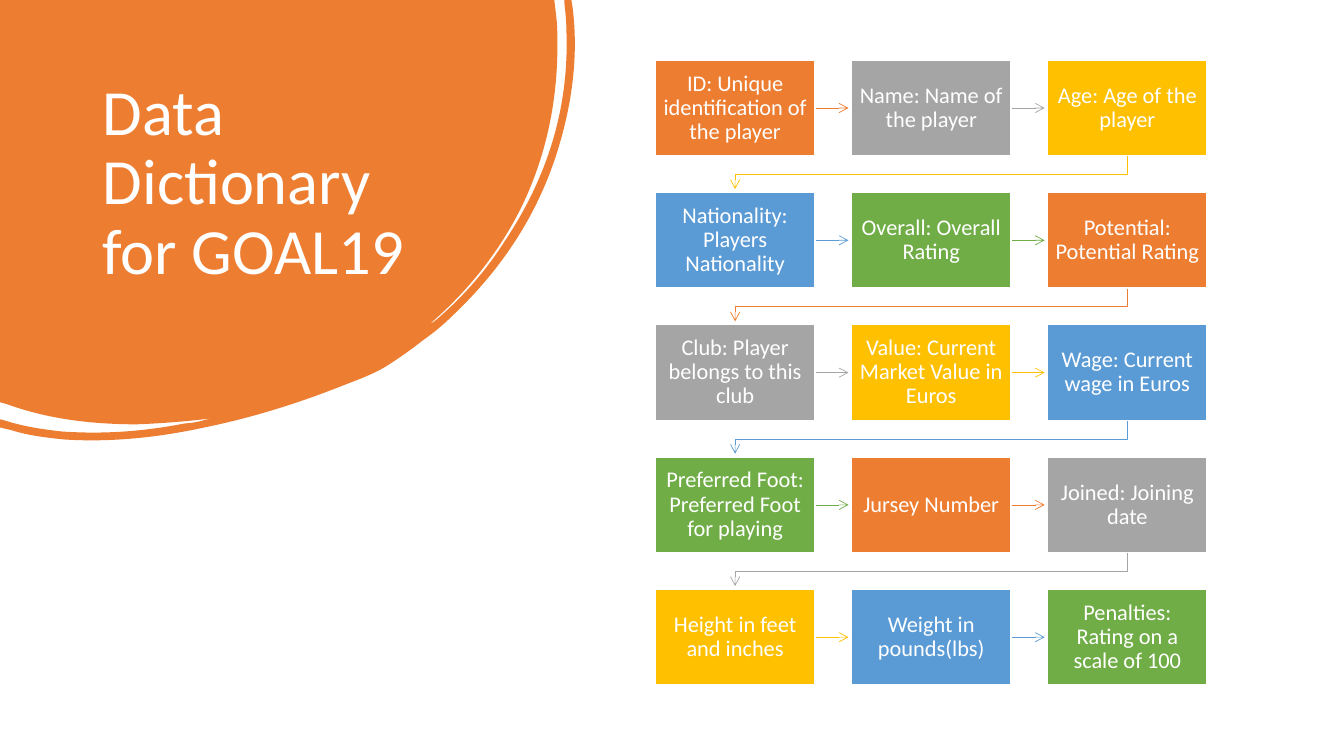
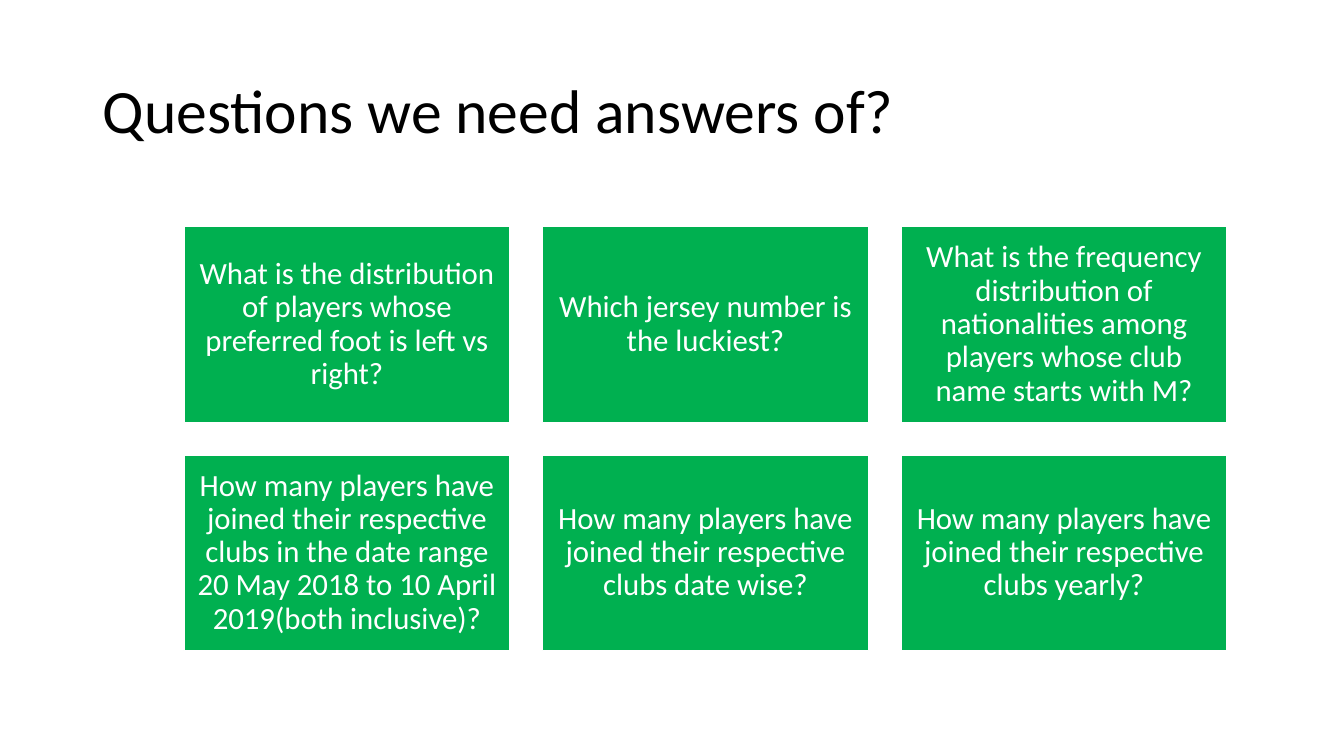
from lxml.etree import SubElement
from pptx import Presentation
from pptx.dml.color import RGBColor
from pptx.enum.shapes import MSO_CONNECTOR as LINK, MSO_SHAPE as SHAPE
from pptx.enum.text import MSO_ANCHOR as ANCHOR, MSO_AUTO_SIZE as FIT, PP_ALIGN as ALIGN
from pptx.oxml.ns import qn
from pptx.util import Pt

COLOURS = {
    "orange": "ED7D31",
    "grey": "A5A5A5",
    "yellow": "FFC000",
    "blue": "5B9BD5",
    "leaf": "70AD47",
    "green": "00B050",
    "white": "FFFFFF",
    "black": "000000",
}
CYCLE = ["orange", "grey", "yellow", "blue", "leaf"]
COLUMNS = 3


def set_text(shape, text, size, colour, align, anchor, inset_x, inset_y):
    frame = shape.text_frame
    frame.text = text
    paragraph = frame.paragraphs[0]
    formats = [
        (frame, {
            "word_wrap": True, "auto_size": FIT.NONE, "vertical_anchor": anchor,
            "margin_left": Pt(inset_x), "margin_right": Pt(inset_x),
            "margin_top": Pt(inset_y), "margin_bottom": Pt(inset_y),
        }),
        (paragraph, {"alignment": align, "line_spacing": 0.9, "space_before": Pt(0)}),
        (paragraph.font, {"name": "Calibri", "size": Pt(size), "bold": False}),
    ]
    for target, values in formats:
        for name, value in values.items():
            setattr(target, name, value)
    paragraph.font.color.rgb = RGBColor.from_string(COLOURS[colour])


def add_card(slide, text, colour, left, top, width, height, size, inset):
    card = slide.shapes.add_shape(SHAPE.RECTANGLE, Pt(left), Pt(top), Pt(width), Pt(height))
    card.shadow.inherit = False
    card.fill.solid()
    card.fill.fore_color.rgb = RGBColor.from_string(COLOURS[colour])
    card.line.color.rgb = RGBColor.from_string(COLOURS["white"])
    card.line.width = Pt(1)
    set_text(card, text, size, "white", ALIGN.CENTER, ANCHOR.MIDDLE, inset, inset)


deck = Presentation()
deck.slide_width, deck.slide_height = Pt(960), Pt(540)

titles = [
    ("Data Dictionary for GOAL19", (66.2, 53.3, 253.4, 159.8), 46, "white", ANCHOR.TOP),
    ("Questions we need answers of?", (66.2, 28.8, 828, 104.4), 44, "black", ANCHOR.MIDDLE),
]
for text, place, size, colour, anchor in titles:
    title = deck.slides.add_slide(deck.slide_layouts[5]).shapes.title
    title.left, title.top, title.width, title.height = [Pt(length) for length in place]
    set_text(title, text, size, colour, ALIGN.LEFT, anchor, 7.2, 3.6)
dictionary, questions = deck.slides

blob_edges = [
    [(396, 0)], [(397.4, 12.2)],
    [(398.2, 18.7), (398.2, 25.9), (398.2, 32.4)],
    [(398.2, 72.7), (390.2, 110.9), (373, 146.9)],
    [(357.1, 179.3), (334.8, 207.4), (307.4, 231.1)],
    [(308.9, 231.1), (309.6, 229.7), (311, 229)],
    [(330.5, 212.4), (347, 193.7), (360.7, 172.1)],
    [(391, 126.7), (406.8, 77), (404.6, 21.6)],
    [(404.6, 15.1), (403.9, 8.6), (403.2, 2.2)],
    [(403.2, 0)], [(408.2, 0)], [(409, 5)],
    [(413.3, 38.9), (409, 73.4), (398.2, 108)],
    [(383.8, 154.1), (357.8, 193), (322.6, 226.1)],
    [(316.1, 232.6), (308.9, 238.3), (301.7, 243.4)],
    [(294.5, 249.1), (287.3, 254.2), (278.6, 259.9)],
    [(270, 265.7), (259.2, 270), (247.7, 274.3)],
    [(215.3, 287.3), (181.4, 298.1), (146.2, 305.3)],
    [(113, 312.5), (79.2, 316.1), (45.4, 313.9)],
    [(32.4, 312.5), (20.2, 311), (8.6, 307.4)],
    [(0, 305.3)], [(0, 299.5)], [(2.9, 300.2)],
    [(16.6, 304.6), (30.2, 306.7), (43.9, 308.2)],
    [(74.2, 310.3), (103, 308.2), (132.5, 302.4)],
    [(136.1, 302.4), (139, 301.7), (142.6, 301)],
    [(145.4, 300.2), (148.3, 299.5), (151.2, 298.8)],
    [(133.9, 301), (115.9, 302.4), (97.9, 303.1)],
    [(66.2, 303.1), (34.6, 299.5), (5, 288.7)],
    [(0, 287.3)],
]
pen = dictionary.shapes.build_freeform(0, 0)
pen.add_line_segments([(Pt(x), Pt(y)) for edge in blob_edges for x, y in edge], close=True)
blob = pen.convert_to_shape()
segments = iter(list(blob.element.iter(qn("a:lnTo"))))
for edge in blob_edges:
    parts = [next(segments) for _ in edge]
    if len(parts) == 3:
        parts[0].tag = qn("a:cubicBezTo")
        for part in parts[1:]:
            parts[0].append(part[0])
            part.getparent().remove(part)
blob.shadow.inherit = False
blob.fill.solid()
blob.fill.fore_color.rgb = RGBColor.from_string(COLOURS["orange"])
blob.line.fill.background()
dictionary.shapes.title.element.addprevious(blob.element)

fields = [
    "ID: Unique identification of the player",
    "Name: Name of the player",
    "Age: Age of the player",
    "Nationality: Players Nationality",
    "Overall: Overall Rating",
    "Potential: Potential Rating",
    "Club: Player belongs to this club",
    "Value: Current Market Value in Euros",
    "Wage: Current wage in Euros",
    "Preferred Foot: Preferred Foot for playing",
    "Jursey Number",
    "Joined: Joining date",
    "Height in feet and inches",
    "Weight in pounds(lbs)",
    "Penalties: Rating on a scale of 100",
]
field_left, field_top, field_width, field_height = 468.1, 43, 114, 68.3
field_step_x, field_step_y = 140.1, 94.5
for index, field in enumerate(fields):
    row, column = divmod(index, COLUMNS)
    left = field_left + column * field_step_x
    top = field_top + row * field_step_y
    colour = CYCLE[index % len(CYCLE)]
    if index < len(fields) - 1:
        if column < COLUMNS - 1:
            start, middle = left + field_width, top + field_height / 2
            arrow = dictionary.shapes.add_connector(
                LINK.STRAIGHT, Pt(start), Pt(middle), Pt(start + 24), Pt(middle))
        else:
            start, end = left + field_width / 2, field_left + field_width / 2
            bottom = top + field_height
            pen = dictionary.shapes.build_freeform(Pt(start), Pt(bottom))
            turns = [(start, bottom + 13.4), (end, bottom + 13.4), (end, bottom + 23.8)]
            pen.add_line_segments([(Pt(x), Pt(y)) for x, y in turns], close=False)
            arrow = pen.convert_to_shape()
            arrow.fill.background()
        arrow.line.color.rgb = RGBColor.from_string(COLOURS[colour])
        arrow.line.width = Pt(0.5)
        properties = arrow.element.spPr
        SubElement(properties.find(qn("a:ln")), qn("a:tailEnd"), type="arrow")
        SubElement(properties, qn("a:effectLst"))
        arrow.element.remove(arrow.element.find(qn("p:style")))
    add_card(dictionary, field, colour, left, top, field_width, field_height, 16, 5.5)

asked = [
    "What is the distribution of players whose preferred foot is left vs right?",
    "Which jersey number is the luckiest?",
    "What is the frequency distribution of nationalities among players whose club name starts with M?",
    "How many players have joined their respective clubs in the date range "
    "20 May 2018 to 10 April 2019(both inclusive)?",
    "How many players have joined their respective clubs date wise?",
    "How many players have joined their respective clubs yearly?",
]
question_width, question_height, question_gap = 232.8, 139.7, 23.3
for index, question in enumerate(asked):
    row, column = divmod(index, COLUMNS)
    left = 131.4 + column * (question_width + question_gap)
    top = 162 + row * (question_height + question_gap)
    add_card(questions, question, "green", left, top, question_width, question_height, 22, 6.5)

deck.save("out.pptx")
